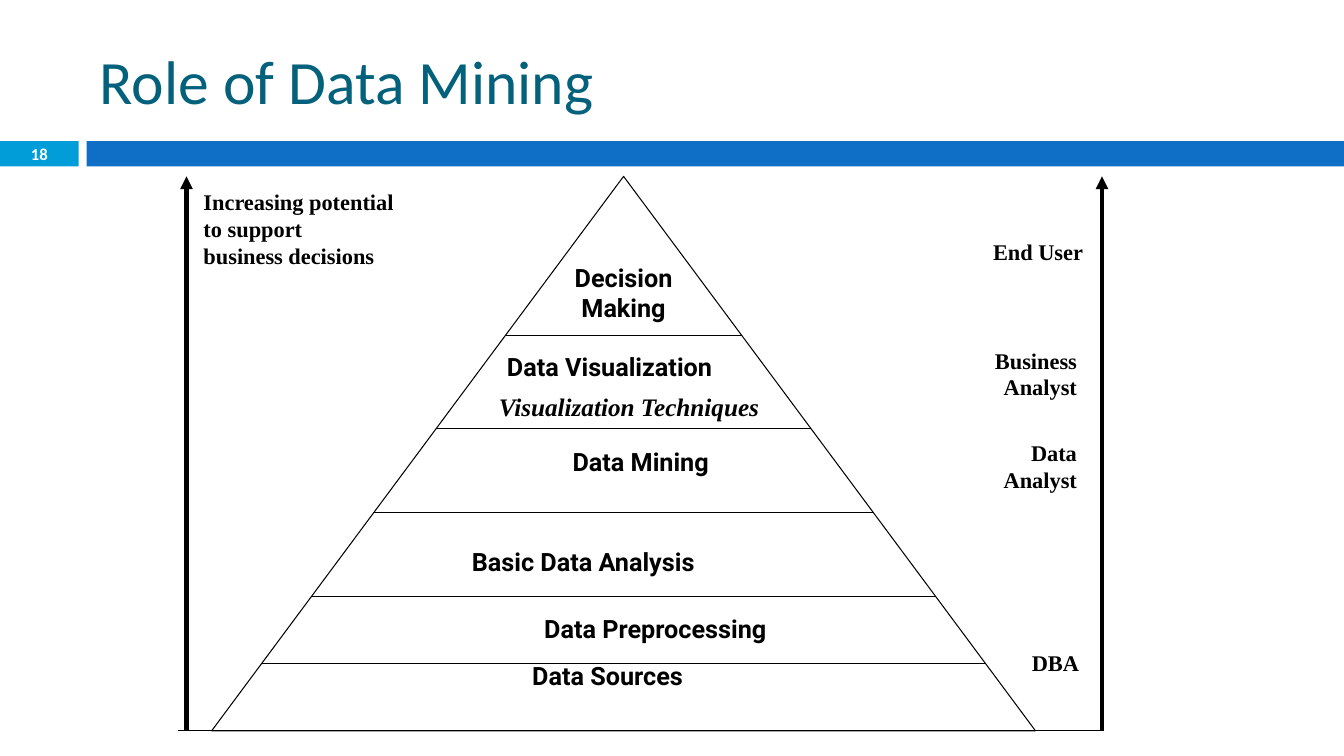
"""Build the Role of Data Mining pyramid slide."""
from lxml import etree
from pptx import Presentation
from pptx.dml.color import RGBColor
from pptx.enum.shapes import MSO_CONNECTOR, MSO_SHAPE
from pptx.enum.text import MSO_ANCHOR, PP_ALIGN
from pptx.oxml.ns import qn
from pptx.util import Inches, Pt

RECT = MSO_SHAPE.RECTANGLE
PEAK = MSO_SHAPE.FLOWCHART_EXTRACT
STRAIGHT = MSO_CONNECTOR.STRAIGHT
MIDDLE, TOP = MSO_ANCHOR.MIDDLE, MSO_ANCHOR.TOP
LEFT, MID, RIGHT = PP_ALIGN.LEFT, PP_ALIGN.CENTER, PP_ALIGN.RIGHT
SANS, SERIF, HEAD = "Roboto", "Times New Roman", "Calibri"
COLORS = {"ink": "000000", "title": "04617B", "tab": "009DD9",
          "bar": "0F6FC6", "white": "FFFFFF"}


def color(name):
    """Return the named colour."""
    return RGBColor.from_string(COLORS[name])


def style(para, size, face, ink, bold=True, italic=False, align=LEFT):
    """Set the font and alignment of a paragraph."""
    para.alignment = align
    font = para.font
    font.size, font.name = Pt(size), face
    font.bold, font.italic = bold, italic
    font.color.rgb = color(ink)


def label(slide, box, lines, size=18, face=SANS, ink="ink", anchor=TOP, **look):
    """Add a text box with one paragraph per line."""
    frame = slide.shapes.add_textbox(*map(Inches, box)).text_frame
    frame.word_wrap = True
    frame.vertical_anchor = anchor
    frame.text = "\n".join(lines)
    for para in frame.paragraphs:
        style(para, size, face, ink, **look)


def line(slide, x1, y1, x2, y2, width=0.75, arrow=False):
    """Add a black line, with an arrowhead at its end if asked."""
    link = slide.shapes.add_connector(STRAIGHT, *map(Inches, (x1, y1, x2, y2)))
    link.line.color.rgb = color("ink")
    link.line.width = Pt(width)
    if arrow:
        etree.SubElement(link.line._get_or_add_ln(), qn("a:tailEnd"), type="triangle")
    etree.SubElement(link._element.spPr, qn("a:effectLst"))


def header(slide, left, top, width, height):
    """Place the title and the two-part band with the page number."""
    title = slide.shapes.title
    title.left, title.top = Inches(left + 0.89), Inches(top + 0.25)
    title.width, title.height = Inches(11.89), Inches(1.08)
    title.text_frame.text = "Role of Data Mining"
    title.text_frame.vertical_anchor = MIDDLE
    style(title.text_frame.paragraphs[0], 44, HEAD, "title", bold=False)
    tab, gap, band = 0.78, 0.08, 0.25
    base = top + height - band
    for x, wide, fill in ((left, tab, "tab"),
                          (left + tab + gap, width - tab - gap, "bar")):
        part = slide.shapes.add_shape(RECT, *map(Inches, (x, base, wide, band)))
        part.shadow.inherit = False
        part.fill.solid()
        part.fill.fore_color.rgb = color(fill)
        part.line.fill.background()
    label(slide, (left, base - 0.01, tab, 0.27), ["18"], 11.9, HEAD, "white",
          MIDDLE, align=MID)


def pyramid(slide, left, top, width, height):
    """Draw the pyramid, its level lines and its labels."""
    peak = slide.shapes.add_shape(PEAK, *map(Inches, (left, top, width, height)))
    peak.shadow.inherit = False
    peak.fill.background()
    peak.line.color.rgb = color("ink")
    peak.line.width = Pt(0.75)
    center = left + width / 2
    for depth in (1.58, 2.5, 3.33, 4.17, 4.83):
        half = width / 2 * depth / height
        line(slide, center - half, top + depth, center + half, top + depth)
    for x, y, wide, text, align in (
            (3.42, 0.8, 1.33, "Decision Making", MID),
            (2.83, 1.69, 2.49, "Data Visualization", LEFT),
            (2.17, 2.63, 4.17, "Data Mining", MID),
            (1.92, 3.62, 3.53, "Basic Data Analysis", MID),
            (3.07, 4.29, 2.66, "Data Preprocessing", MID),
            (3.08, 4.75, 1.86, "Data Sources", LEFT)):
        label(slide, (left + x, top + y, wide, 0.4), [text], align=align)
    label(slide, (left + 2.75, top + 2.08, 3, 0.4), ["Visualization Techniques"],
          face=SERIF, italic=True)


def sides(slide, left, top, width, height):
    """Draw the base line, the side arrows and the notes beside them."""
    right, base = left + width, top + height
    for x in (left, right):
        line(slide, x, base, x, top, 3, True)
    line(slide, left - 0.08, base, right, base)
    label(slide, (left + 0.07, top + 0.07, 2.4, 0.9),
          ["Increasing potential", "to support", "business decisions"], 16, SERIF)
    wide = 1.3
    for gap, y, lines in ((0.09, 0.56, ["End User"]),
                          (0.15, 1.64, ["Business", "Analyst"]),
                          (0.15, 2.56, ["Data", "Analyst"]),
                          (0.13, 4.64, ["DBA"])):
        label(slide, (right - gap - wide, top + y, wide, 0.1 + 0.27 * len(lines)),
              lines, 16, SERIF, align=RIGHT)


def main():
    """Build and save the deck."""
    deck = Presentation()
    deck.slide_width, deck.slide_height = Inches(13.33), Inches(7.5)
    slide = deck.slides.add_slide(deck.slide_layouts[5])
    header(slide, 0, 0, 13.33, 1.65)
    pyramid(slide, 2.1, 1.75, 8.17, 5.5)
    sides(slide, 1.85, 1.75, 9.08, 5.5)
    deck.save("out.pptx")


if __name__ == "__main__":
    main()
